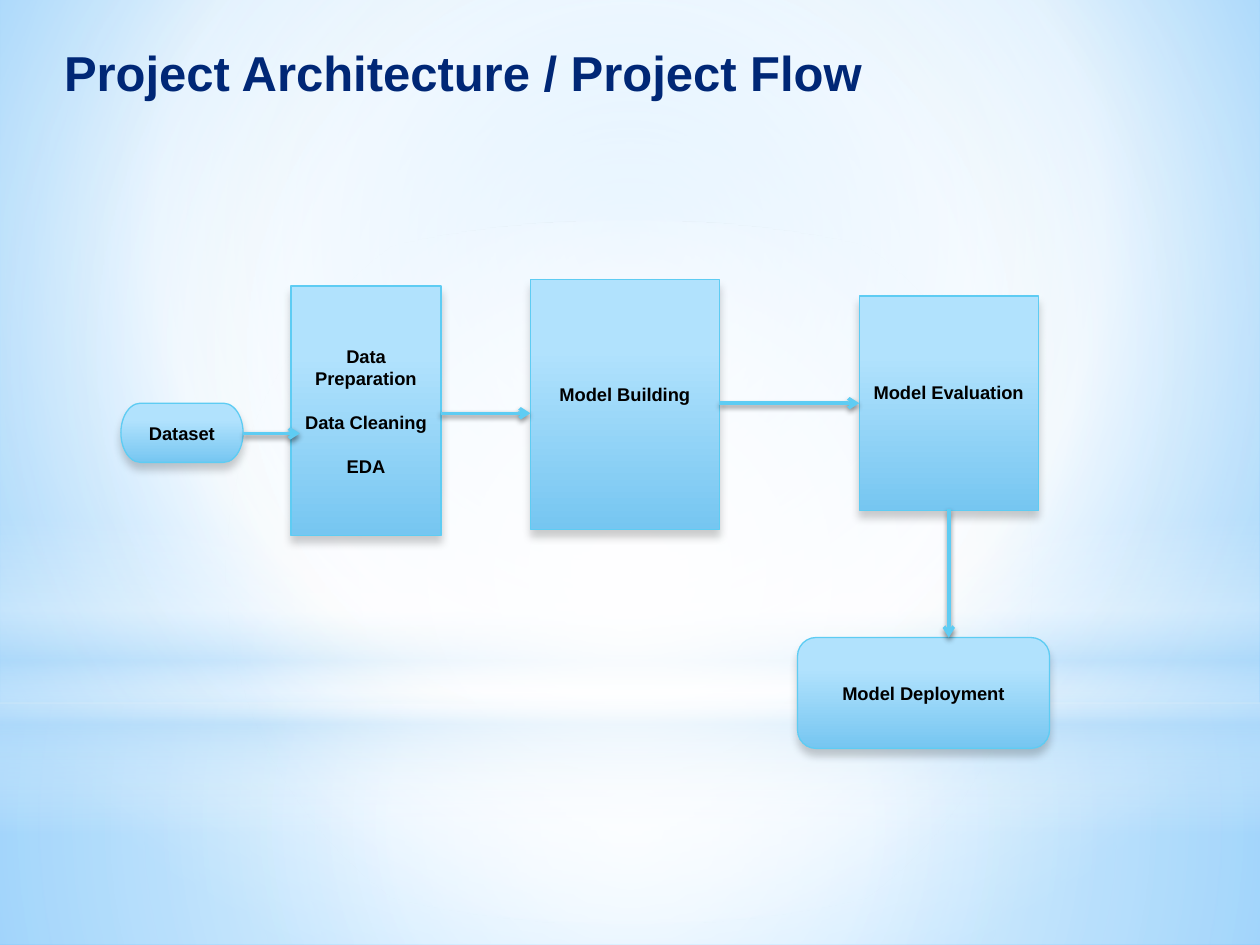
"""Build the project architecture flow slide."""
from pptx import Presentation
from pptx import util as u
from pptx.dml.color import RGBColor
from pptx.enum import shapes, text
from pptx.oxml import parse_xml
from pptx.oxml.ns import nsdecls, qn

NAVY = RGBColor(0x00, 0x27, 0x76)
BLACK = RGBColor(0x00, 0x00, 0x00)
WHITE = RGBColor(0xFF, 0xFF, 0xFF)
CYAN = RGBColor(0x5E, 0xCC, 0xF3)
PALE = RGBColor(0xB4, 0xDC, 0xFA)
BOX_TOP = RGBColor(0xB1, 0xE2, 0xFD)
BOX_BOTTOM = RGBColor(0x76, 0xC6, 0xF1)
SKY = RGBColor(0x9E, 0xD5, 0xFF)
BLUE = RGBColor(0x5B, 0xB9, 0xFF)
DOWN = '<a:lin ang="5400000" scaled="0"/>'
RADIAL = '<a:path path="circle"><a:fillToRect l="{}000" t="{}000" r="{}000" b="{}000"/></a:path>'
CENTRE = RADIAL.format(50, 50, 50, 50)
MSO = shapes.MSO_SHAPE


def paint(owner, el, stops, shade):
    owner.fill.gradient()
    old = next(el.iter(qn("a:gradFill")))
    gs = "".join(
        f'<a:gs pos="{pos * 1000}"><a:srgbClr val="{color}">'
        f'<a:alpha val="{alpha * 1000}"/></a:srgbClr></a:gs>'
        for pos, color, alpha in stops)
    new = parse_xml(f'<a:gradFill {nsdecls("a")} rotWithShape="1">'
                    f'<a:gsLst>{gs}</a:gsLst>{shade}</a:gradFill>')
    old.getparent().replace(old, new)


def shadow(alpha, blur, dist):
    return parse_xml(
        f'<a:effectLst {nsdecls("a")}><a:outerShdw blurRad="{u.Pt(blur)}" dist="{u.Pt(dist)}" '
        f'dir="5400000" algn="ctr" rotWithShape="0"><a:srgbClr val="{BLACK}">'
        f'<a:alpha val="{alpha * 1000}"/></a:srgbClr></a:outerShdw></a:effectLst>')


prs = Presentation()
prs.slide_width, prs.slide_height = u.Inches(10), u.Inches(7.5)
s = prs.slides.add_slide(prs.slide_layouts[6])
paint(s.background, s._element, [(0, SKY, 100), (60, WHITE, 100), (100, BLUE, 100)],
      RADIAL.format(20, 10, 20, 60))

glows = [
    (MSO.RECTANGLE, 5.58, 1.92, [(0, WHITE, 91), (37, WHITE, 76), (100, PALE, 79)], CENTRE),
    (MSO.RECTANGLE, 0, 5.58, [(0, WHITE, 89), (48, WHITE, 62), (100, PALE, 79)], CENTRE),
    (MSO.RECTANGLE, 4.12, 2.5, [(0, WHITE, 0), (29, WHITE, 30), (45, PALE, 40),
                                (55, WHITE, 26), (65, PALE, 60), (100, WHITE, 0)], DOWN),
    (MSO.OVAL, 1.75, 5.58, [(0, WHITE, 100), (56, WHITE, 0)], CENTRE),
]
for kind, top, height, stops, shade in glows:
    sp = s.shapes.add_shape(kind, 0, u.Inches(top), u.Inches(10), u.Inches(height))
    sp.shadow.inherit = False
    sp.line.fill.background()
    paint(sp, sp._element, stops, shade)

sp = s.shapes.add_textbox(*map(u.Inches, (0.41, 0.29, 6.71, 0.57)))
tf = sp.text_frame
tf.word_wrap = True
r = tf.paragraphs[0].add_run()
r.text = "Project Architecture / Project Flow"
for name, value in {"name": "Arial", "size": u.Pt(28), "bold": True}.items():
    setattr(r.font, name, value)
r.font.color.rgb = NAVY

box_font = {"name": "Arial", "size": u.Pt(10.5), "bold": True}
boxes = [
    (MSO.FLOWCHART_TERMINATOR, (0.96, 3.2, 0.97, 0.47), ["Dataset"], 0.05),
    (MSO.RECTANGLE, (2.31, 2.27, 1.19, 1.98), ["Data Preparation", "Data Cleaning", "EDA"], 0.05),
    (MSO.RECTANGLE, (4.21, 2.22, 1.5, 1.98), ["Model Building"], 0.22),
    (MSO.FLOWCHART_PROCESS, (6.82, 2.35, 1.42, 1.7), ["Model Evaluation"], 0.22),
    (MSO.FLOWCHART_ALTERNATE_PROCESS, (6.33, 5.06, 2, 0.88), ["Model Deployment"], 0.05),
]
for kind, place, lines, bottom in boxes:
    sp = s.shapes.add_shape(kind, *map(u.Inches, place))
    paint(sp, sp._element, [(28, BOX_TOP, 100), (100, BOX_BOTTOM, 100)], DOWN)
    sp.line.color.rgb = CYAN
    sp.line.width = u.Pt(0.75)
    sp._element.spPr.append(shadow(20, 5, 4))
    tf = sp.text_frame
    frame = {"word_wrap": True, "vertical_anchor": text.MSO_ANCHOR.MIDDLE,
             "margin_bottom": u.Inches(bottom)}
    for name, value in frame.items():
        setattr(tf, name, value)
    for i, line in enumerate(lines):
        p = tf.add_paragraph() if i else tf.paragraphs[0]
        p.alignment = text.PP_ALIGN.CENTER
        p.space_before = u.Pt(12.5 if i else 0)
        r = p.add_run()
        r.text = line
        for name, value in box_font.items():
            setattr(r.font, name, value)
        r.font.color.rgb = BLACK

arrows = [(1.93, 3.44, 2.38, 3.44), (3.5, 3.28, 4.21, 3.28),
          (5.71, 3.2, 6.82, 3.2), (7.53, 4.04, 7.53, 5.06)]
for ends in arrows:
    sp = s.shapes.add_connector(shapes.MSO_CONNECTOR.STRAIGHT, *map(u.Inches, ends))
    sp.line.color.rgb = CYAN
    sp.line.width = u.Pt(2)
    sp.line._get_or_add_ln().append(parse_xml(f'<a:tailEnd {nsdecls("a")} type="arrow"/>'))
    sp._element.spPr.append(shadow(45, 3.1, 1.8))

prs.save("out.pptx")
